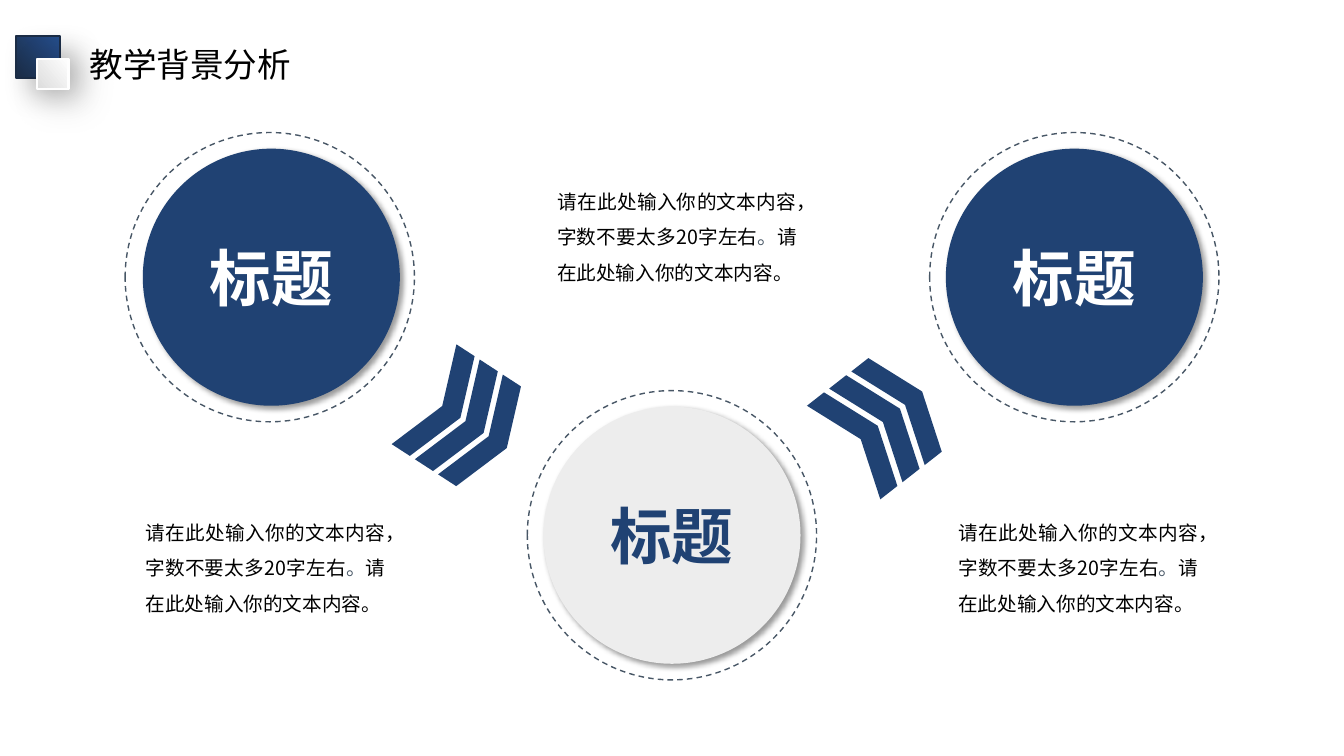
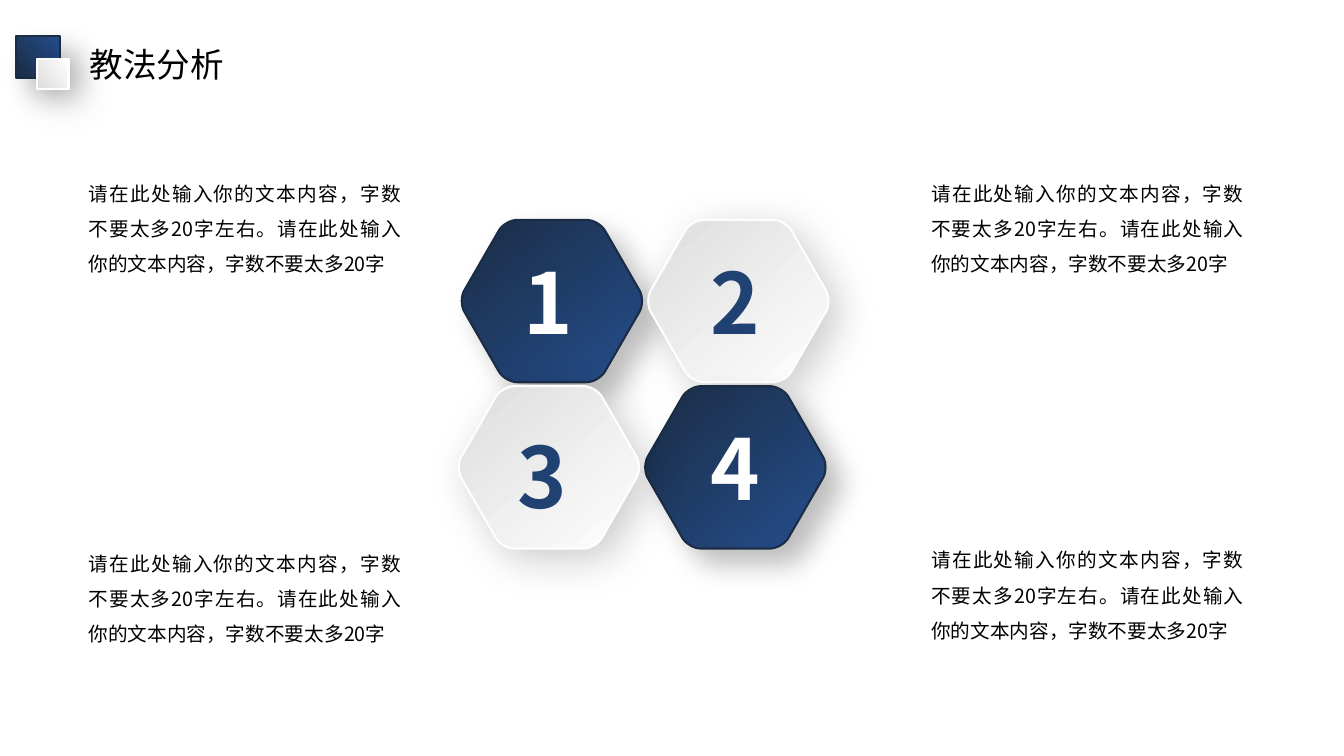
from math import cos, pi, sin

from lxml.etree import SubElement
from pptx import Presentation
from pptx.dml.color import RGBColor
from pptx.enum.dml import MSO_LINE
from pptx.enum.shapes import MSO_SHAPE
from pptx.enum.text import MSO_ANCHOR, MSO_AUTO_SIZE, PP_ALIGN
from pptx.oxml.ns import qn
from pptx.util import Emu, Pt

COLS, ROWS = 160, 90
CELL = 76200
FONT = "Noto Sans CJK SC"
NAVY, PALE, WHITE, BLACK, SLATE = "204273", "EDEDED", "FFFFFF", "000000", "485766"
DARK_STYLE = {"stops": ("1B2C45", "254E8C"), "edge": "1B2C45", "shadow": (25, 20, 15)}
LIGHT_STYLE = {"stops": ("DDDDDD", "FEFEFE"), "edge": "FEFEFE", "shadow": (20, 30, 10)}
DISC_SHADOW = (40, 4, 3)
HINT = "请在此处输入你的文本内容，字数不要太多20字"


def rgb(color):
    return RGBColor.from_string(color)


def grid(*cells):
    return [Emu(round(n * CELL)) for n in cells]


def centred(x, y, w, h):
    return x - w / 2, y - h / 2, w, h


def add_shadow(sp, alpha, blur, dist):
    effects = sp._element.spPr.find(qn("a:effectLst"))
    outer = SubElement(effects, qn("a:outerShdw"), blurRad=str(Pt(blur)),
                       dist=str(Pt(dist)), dir=str(45 * 60000),
                       algn="tl", rotWithShape="0")
    color = SubElement(outer, qn("a:srgbClr"), val=BLACK)
    SubElement(color, qn("a:alpha"), val=str(alpha * 1000))


def add_run(p, text, size, color, bold=False):
    r = p.add_run()
    r.text = text
    r.font.size = Pt(size)
    r.font.bold = bold
    r.font.color.rgb = rgb(color)
    r.font.name = FONT
    rPr = r._r.get_or_add_rPr()
    rPr.set("lang", "zh-CN")
    SubElement(rPr, qn("a:ea"), typeface=FONT)


def add_text(s, box, runs, size, align=PP_ALIGN.LEFT, spacing=None, bold=False, wrap=True):
    tf = s.shapes.add_textbox(*grid(*box)).text_frame
    tf.word_wrap = wrap
    tf.auto_size = MSO_AUTO_SIZE.SHAPE_TO_FIT_TEXT
    p = tf.paragraphs[0]
    p.alignment = align
    if spacing:
        p.line_spacing = spacing
    for text, color in runs:
        add_run(p, text, size, color, bold)


def add_body(s, x, y, w, runs):
    add_text(s, (x, y, w, 13.9), runs, 14, PP_ALIGN.JUSTIFY, 1.5)


def add_plain(s, kind, box, fill=None):
    sp = s.shapes.add_shape(kind, *grid(*box))
    sp.shadow.inherit = False
    sp.line.fill.background()
    if fill:
        sp.fill.solid()
        sp.fill.fore_color.rgb = rgb(fill)
    else:
        sp.fill.background()
    return sp


def apply_style(sp, style):
    sp.shadow.inherit = False
    sp.fill.gradient()
    sp.fill.gradient_angle = 40
    for stop, color in zip(sp.fill.gradient_stops, style["stops"]):
        stop.color.rgb = rgb(color)
    sp.line.color.rgb = rgb(style["edge"])
    sp.line.width = Pt(1.5)
    add_shadow(sp, *style["shadow"])


def add_header(s, title, width):
    for box, style in (((1.92, 4.32, 5.28, 5), DARK_STYLE),
                       ((4.44, 7, 3.72, 3.55), LIGHT_STYLE)):
        apply_style(s.shapes.add_shape(MSO_SHAPE.RECTANGLE, *grid(*box)), style)
    add_text(s, (9.48, 4.68, width, 6), [(title, BLACK)], 24, wrap=False)


def add_disc(s, ring_x, disc_x, y, fill, color):
    ring = add_plain(s, MSO_SHAPE.OVAL, centred(ring_x, y, 34.44, 34.44))
    ring.line.color.rgb = rgb(SLATE)
    ring.line.width = Pt(1)
    ring.line.dash_style = MSO_LINE.DASH
    disc = add_plain(s, MSO_SHAPE.OVAL, centred(disc_x, y, 30.6, 30.6), fill)
    add_shadow(disc, *DISC_SHADOW)
    disc.text_frame.vertical_anchor = MSO_ANCHOR.MIDDLE
    p = disc.text_frame.paragraphs[0]
    p.alignment = PP_ALIGN.CENTER
    add_run(p, "标题", 44, color, True)


def add_chevrons(s, x, y, dx, dy, rotation):
    for i in range(3):
        box = centred(x + i * dx, y + i * dy, 5.16, 14.16)
        add_plain(s, MSO_SHAPE.CHEVRON, box, NAVY).rotation = rotation


def between(a, b, share):
    return tuple(m + (n - m) * share for m, n in zip(a, b))


def hexagon_points(x, y, radius=11.16, cut=0.13, pull=0.06):
    angles = [pi / 6 + k * pi / 3 for k in range(6)]
    corners = [(x + radius * cos(a), y + radius * sin(a)) for a in angles]
    points = []
    for k, corner in enumerate(corners):
        before, after = corners[k - 1], corners[(k + 1) % 6]
        points += [between(corner, before, cut), between(corner, before, pull),
                   between(corner, after, pull), between(corner, after, cut)]
    return [tuple(grid(*point)) for point in points]


def round_corners(sp):
    segments = list(sp._element.iter(qn("a:lnTo")))
    for i in range(0, 23, 4):
        first, *rest = segments[i:i + 3]
        first.tag = qn("a:cubicBezTo")
        for segment in rest:
            first.append(segment[0])
            segment.getparent().remove(segment)


def add_hexagon(s, x, y, style):
    points = hexagon_points(x, y)
    builder = s.shapes.build_freeform(*points[0], scale=1.0)
    builder.add_line_segments(points[1:], close=True)
    sp = builder.convert_to_shape()
    round_corners(sp)
    sp.rotation = 90
    apply_style(sp, style)


def background_slide(s):
    add_header(s, "教学背景分析", 26.64)
    for ring_x, disc_x, y, fill, color in ((32.12, 32.3, 33, NAVY, WHITE),
                                           (80, 80, 63.72, PALE, NAVY),
                                           (127.9, 127.9, 33, NAVY, WHITE)):
        add_disc(s, ring_x, disc_x, y, fill, color)
    add_chevrons(s, 52.65, 48.34, 2.76, 1.8, 33)
    add_chevrons(s, 102.47, 52.28, 2.64, -2.04, 321.9)
    runs = [(HINT + "左右", BLACK), ("。", SLATE), ("请在此处输入你的文本内容。", BLACK)]
    for x, y in ((16.14, 60.04), (65.14, 20.64), (112.9, 60.04)):
        add_body(s, x, y, 30.94, runs)


def method_slide(s):
    add_header(s, "教法分析", 18.6)
    for x, y in ((109.68, 63.28), (9.36, 63.67), (9.36, 19.64), (109.68, 19.64)):
        add_body(s, x, y, 39.55, [(HINT + "左右。" + HINT, BLACK)])
    for col, row, style in ((0, 0, DARK_STYLE), (1, 0, LIGHT_STYLE),
                            (1, 1, DARK_STYLE), (0, 1, LIGHT_STYLE)):
        add_hexagon(s, 65.7 + 22.2 * col - 0.36 * row, 35.84 + 19.8 * row, style)
    for number, x, y, color in (("4", 83.04, 48.96, WHITE), ("3", 60.04, 49.92, NAVY),
                                ("1", 60.78, 29.22, WHITE), ("2", 83.04, 29.22, NAVY)):
        add_text(s, (x, y, 9, 13.32), [(number, color)], 60, PP_ALIGN.CENTER, bold=True)


def main():
    prs = Presentation()
    prs.slide_width, prs.slide_height = grid(COLS, ROWS)
    for build in (background_slide, method_slide):
        build(prs.slides.add_slide(prs.slide_layouts[6]))
    prs.save("out.pptx")


if __name__ == "__main__":
    main()
